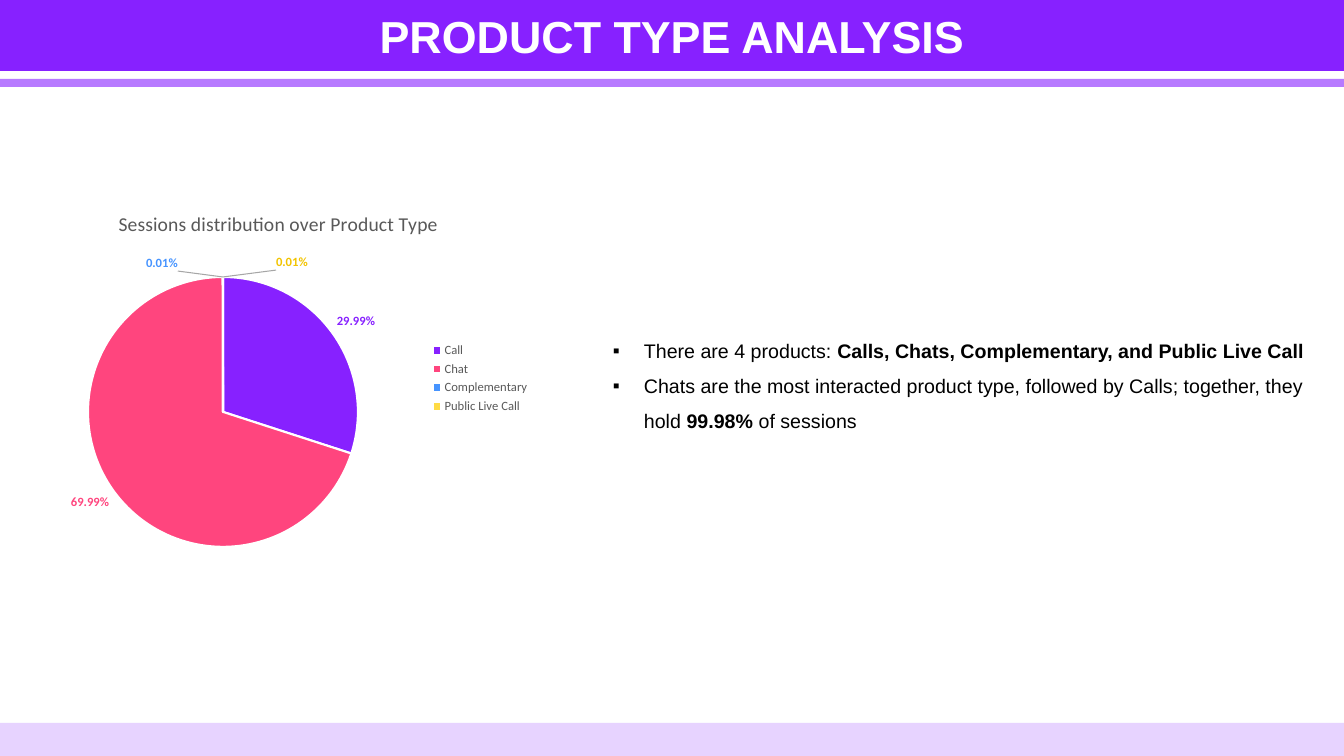
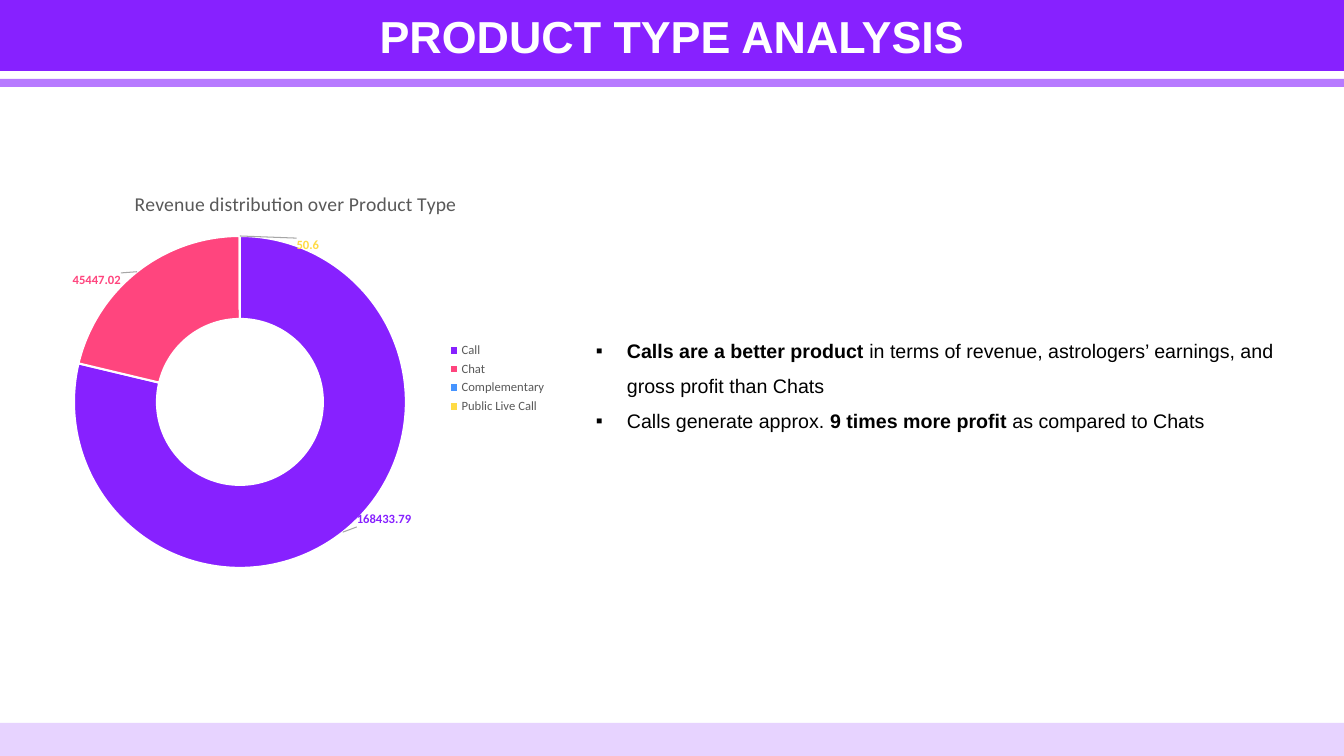
import lxml.etree
import pptx
import pptx.chart.data
import pptx.dml.color
import pptx.enum.chart
import pptx.enum.shapes
import pptx.enum.text
import pptx.oxml.ns
import pptx.util

RGB = pptx.dml.color.RGBColor
CHART = pptx.enum.chart.XL_CHART_TYPE
qn = pptx.oxml.ns.qn

PURPLE = RGB(0x87, 0x21, 0xFF)
LILAC = RGB(0xB7, 0x7A, 0xFF)
PALE_LILAC = RGB(0xE7, 0xD3, 0xFF)
PINK = RGB(0xFF, 0x45, 0x7E)
BLUE = RGB(0x46, 0x94, 0xFF)
YELLOW = RGB(0xFF, 0xDB, 0x45)
GOLD = RGB(0xF2, 0xC4, 0x00)
GREY = RGB(0x59, 0x59, 0x59)
LEADER_GREY = RGB(0xA6, 0xA6, 0xA6)
BLACK = RGB(0, 0, 0)
WHITE = RGB(0xFF, 0xFF, 0xFF)

EMU_PER_PX = 914400 / 100.8
WIDTH, HEIGHT = 1344, 756


def add_text(slide, box, paragraphs, size, color, align=None, spacing=None, bullet=None):
    """Each paragraph is a list of (text, bold) runs."""
    frame = slide.shapes.add_textbox(*[round(v * EMU_PER_PX) for v in box]).text_frame
    frame.word_wrap = True
    frame.auto_size = pptx.enum.text.MSO_AUTO_SIZE.SHAPE_TO_FIT_TEXT
    for number, runs in enumerate(paragraphs):
        paragraph = frame.add_paragraph() if number else frame.paragraphs[0]
        paragraph.alignment = align
        paragraph.line_spacing = spacing
        if bullet:
            properties = paragraph._p.get_or_add_pPr()
            indent = round(31 * EMU_PER_PX)
            properties.set("marL", str(indent))
            properties.set("indent", str(-indent))
            lxml.etree.SubElement(properties, qn("a:buFont")).set("typeface", "Arial")
            lxml.etree.SubElement(properties, qn("a:buChar")).set("char", bullet)
        for text, bold in runs:
            run = paragraph.add_run()
            run.text = text
            run.font.name = "Arial"
            run.font.size = pptx.util.Pt(size)
            run.font.bold = bold
            run.font.color.rgb = color


def set_layout(parent, index, chart_size, **lengths):
    """Place a chart part by px lengths x, y, w, h within the chart."""
    for old in parent.findall(qn("c:layout")):
        parent.remove(old)
    layout = lxml.etree.Element(qn("c:layout"))
    manual = lxml.etree.SubElement(layout, qn("c:manualLayout"))
    settings = []
    if "w" in lengths:
        settings.append(("layoutTarget", "inner"))
    if not parent.tag.endswith("dLbl"):
        settings += [("xMode", "edge"), ("yMode", "edge")]
    for key, length in lengths.items():
        settings.append((key, f"{length / chart_size[key in 'yh']:.4f}"))
    for tag, value in settings:
        lxml.etree.SubElement(manual, qn("c:" + tag)).set("val", value)
    parent.insert(index, layout)


# Shared by both slides
TITLE = "PRODUCT TYPE ANALYSIS"
BANDS = [(0, 71, PURPLE), (79, 8, LILAC), (723, 33, PALE_LILAC)]
PRODUCTS = ["Call", "Chat", "Complementary", "Public Live Call"]
PRODUCT_COLORS = [PURPLE, PINK, BLUE, YELLOW]

# Ring: left, top, diameter; label shifts: one (x, y) per product
ANALYSES = [
    dict(kind=CHART.PIE, title="Sessions distribution over Product Type",
         shares=[0.2999, 0.6999, 0.0001, 0.0001], number_format="0.00%",
         box=(16, 196, 524, 365), title_at=(99, 11), ring=(72, 81, 270),
         legend_at=(413, 143), label_colors=[PURPLE, PINK, BLUE, GOLD],
         shifts=[None, None, (-61, 0), (69, -1)], findings_left=603,
         findings=[[("There are 4 products: ", False),
                    ("Calls, Chats, Complementary, and Public Live Call", True)],
                   [("Chats are the most interacted product type, followed by Calls; "
                     "together, they hold ", False),
                    ("99.98% ", True), ("of sessions", False)]]),
    dict(kind=CHART.DOUGHNUT, title="Revenue distribution over Product Type",
         shares=[168433.79, 45447.02, 0, 50.6], number_format="0.0#;;",
         box=(33, 174, 524, 407), title_at=(98, 13), ring=(41, 62, 332),
         legend_at=(413, 165), label_colors=PRODUCT_COLORS,
         shifts=[(67, 20), (-66, -24), None, (68, -32)], findings_left=586,
         findings=[[("Calls are a better product ", True),
                    ("in terms of revenue, astrologers’ earnings, and gross profit "
                     "than Chats", False)],
                   [("Calls generate approx. ", False), ("9 times more profit ", True),
                    ("as compared to Chats", False)]]),
]

deck = pptx.Presentation()
deck.slide_width = round(WIDTH * EMU_PER_PX)
deck.slide_height = round(HEIGHT * EMU_PER_PX)

for analysis in ANALYSES:
    slide = deck.slides.add_slide(deck.slide_layouts[6])

    # Bands and title
    for top, height, color in BANDS:
        band = slide.shapes.add_shape(
            pptx.enum.shapes.MSO_SHAPE.RECTANGLE,
            *[round(v * EMU_PER_PX) for v in (0, top, WIDTH, height)])
        band.shadow.inherit = False
        band.fill.solid()
        band.fill.fore_color.rgb = color
        band.line.fill.background()
    add_text(slide, (336, 4, 672, 65), [[(TITLE, True)]], size=32, color=WHITE,
             align=pptx.enum.text.PP_ALIGN.CENTER)

    # Chart
    data = pptx.chart.data.CategoryChartData()
    data.categories = PRODUCTS
    data.add_series("Series 1", analysis["shares"])
    chart = slide.shapes.add_chart(
        analysis["kind"], *[round(v * EMU_PER_PX) for v in analysis["box"]], data).chart
    chart_size = analysis["box"][2:]
    chart.font.name = "Calibri"
    chart.font.size = pptx.util.Pt(10)
    plot = chart.plots[0]
    plot.vary_by_categories = True
    ring_x, ring_y, diameter = analysis["ring"]
    set_layout(plot._element.getparent(), 0, chart_size,
               x=ring_x, y=ring_y, w=diameter, h=diameter)

    # Chart title and legend
    heading = chart.chart_title.text_frame
    heading.text = analysis["title"]
    heading_font = heading.paragraphs[0].runs[0].font
    heading_font.name = "Calibri"
    heading_font.size = pptx.util.Pt(14)
    heading_font.bold = False
    heading_font.color.rgb = GREY
    title_x, title_y = analysis["title_at"]
    set_layout(chart.chart_title._element, 1, chart_size, x=title_x, y=title_y)
    chart.has_legend = True
    chart.legend.position = pptx.enum.chart.XL_LEGEND_POSITION.RIGHT
    chart.legend.include_in_layout = False
    chart.legend.font.name = "Calibri"
    chart.legend.font.size = pptx.util.Pt(9)
    chart.legend.font.color.rgb = GREY
    legend_x, legend_y = analysis["legend_at"]
    set_layout(chart.legend._element, 1, chart_size, x=legend_x, y=legend_y)

    # Slices and their labels
    series = plot.series[0]
    labels = series.data_labels
    labels.show_value = True
    labels.number_format = analysis["number_format"]
    labels.number_format_is_linked = False
    for i, (color, label_color, shift) in enumerate(
            zip(PRODUCT_COLORS, analysis["label_colors"], analysis["shifts"])):
        point = series.points[i]
        point.format.fill.solid()
        point.format.fill.fore_color.rgb = color
        point.format.line.color.rgb = WHITE
        point.format.line.width = pptx.util.Pt(1.5)
        label = point.data_label
        label.font.name = "Calibri"
        label.font.size = pptx.util.Pt(9)
        label.font.bold = True
        label.font.color.rgb = label_color
        if analysis["kind"] == CHART.PIE:
            label.position = pptx.enum.chart.XL_LABEL_POSITION.OUTSIDE_END
        if shift:
            label_element = labels._element.findall(qn("c:dLbl"))[i]
            set_layout(label_element, 1, chart_size, x=shift[0], y=shift[1])

    # Leader lines
    leader = labels._element
    for tag in ("c:leaderLines", "c:spPr", "a:ln", "a:solidFill", "a:srgbClr"):
        leader = lxml.etree.SubElement(leader, qn(tag))
        if tag == "a:ln":
            leader.set("w", str(pptx.util.Pt(0.75)))
    leader.set("val", str(LEADER_GREY))

    # Findings
    add_text(slide, (analysis["findings_left"], 322, 726, 113), analysis["findings"],
             size=14, color=BLACK, spacing=1.5, bullet="▪")

deck.save("out.pptx")
